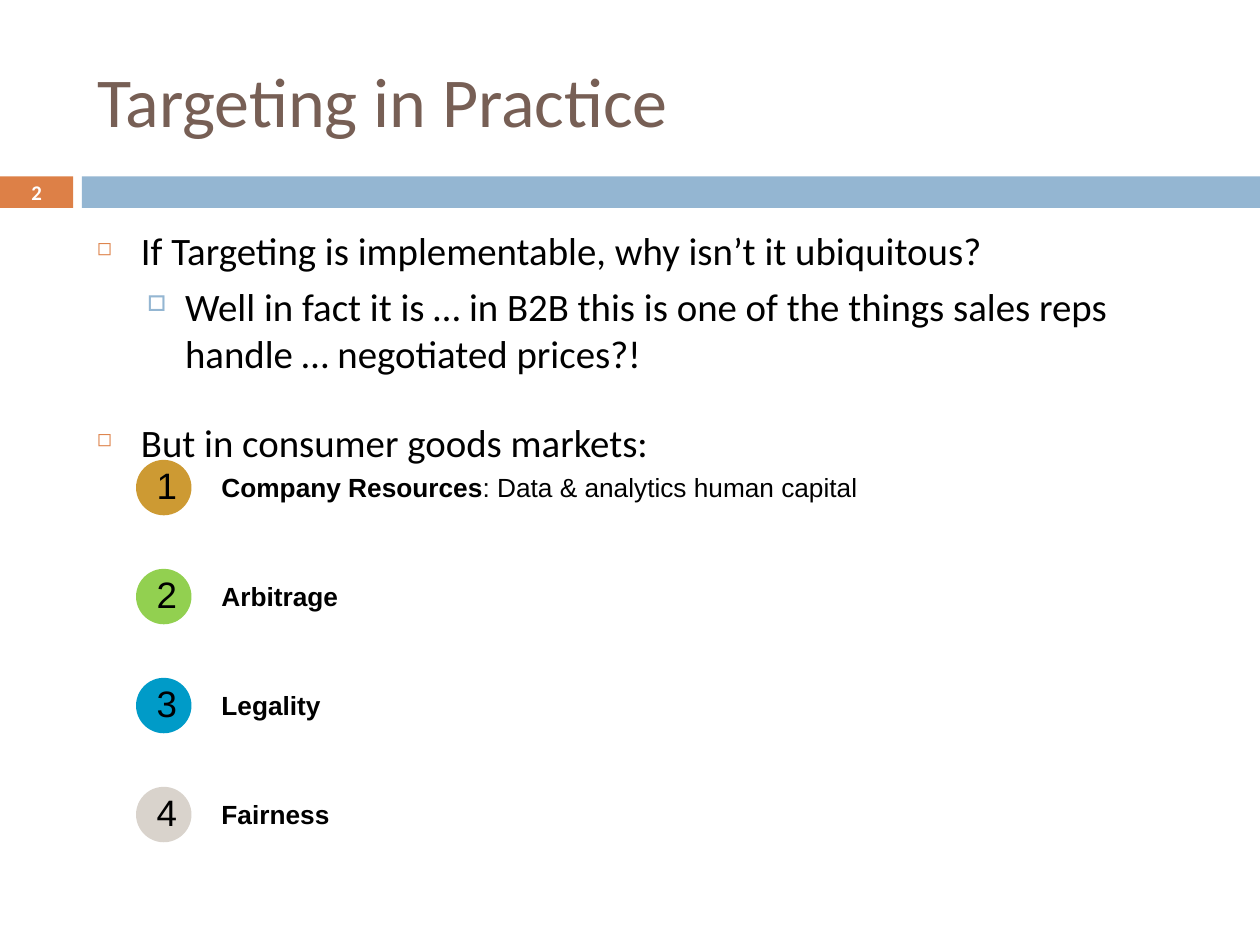
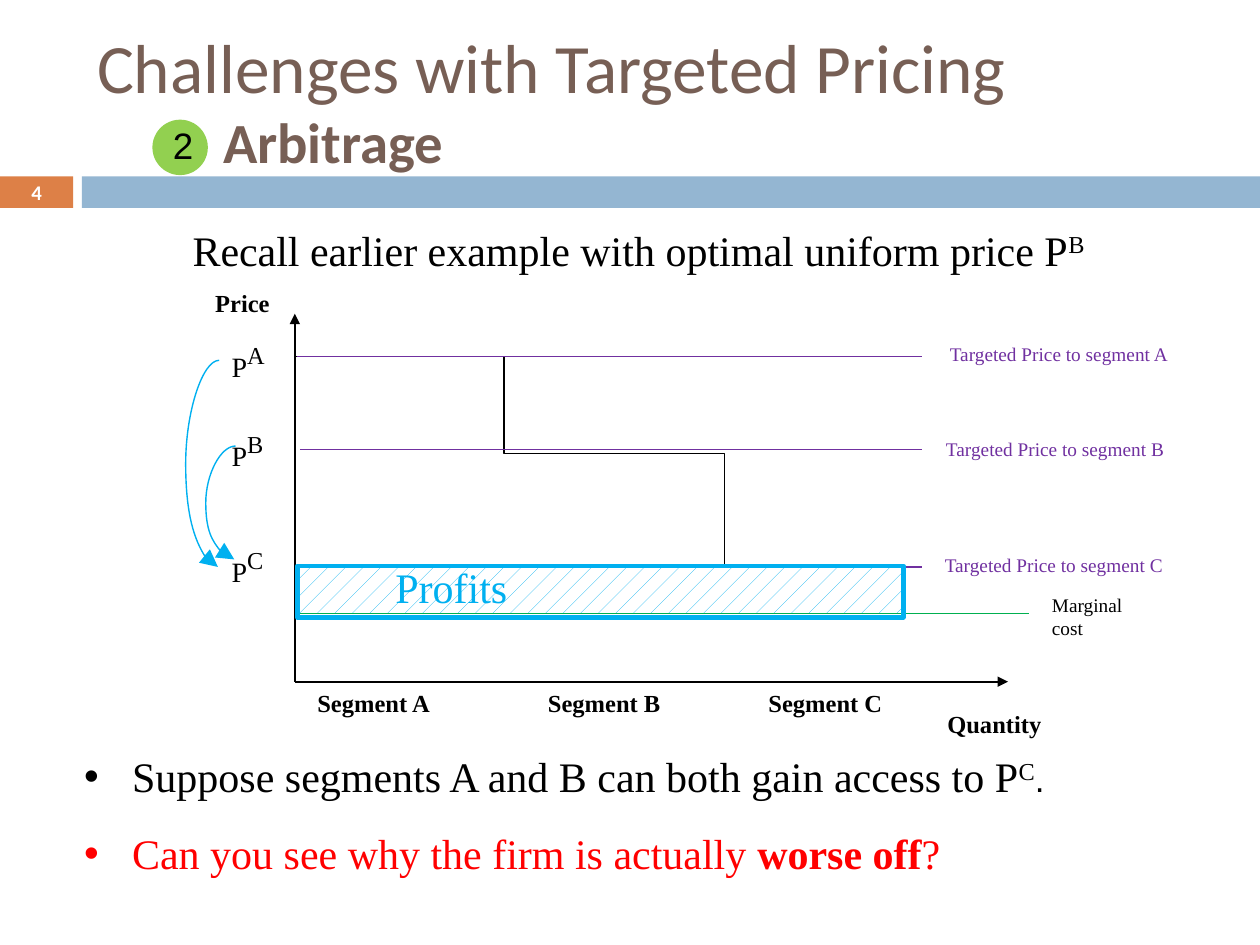
"""Builds two lecture slides on targeted pricing and the arbitrage problem."""
from lxml import etree
from pptx import Presentation
from pptx.dml.color import RGBColor
from pptx.enum.dml import MSO_PATTERN
from pptx.enum.shapes import MSO_CONNECTOR, MSO_SHAPE
from pptx.enum.text import MSO_ANCHOR, MSO_AUTO_SIZE, PP_ALIGN
from pptx.oxml.ns import qn
from pptx.util import Inches, Pt

BLACK = RGBColor(0x00, 0x00, 0x00)
WHITE = RGBColor(0xFF, 0xFF, 0xFF)
BROWN = RGBColor(0x77, 0x5F, 0x55)
ORANGE = RGBColor(0xDD, 0x80, 0x47)
STEEL = RGBColor(0x94, 0xB6, 0xD2)
GOLD = RGBColor(0xCD, 0x9A, 0x33)
LIME = RGBColor(0x92, 0xD0, 0x50)
OCEAN = RGBColor(0x00, 0x9B, 0xC8)
SAND = RGBColor(0xD9, 0xD3, 0xCC)
SKY = RGBColor(0x00, 0xB0, 0xF0)
GREEN = RGBColor(0x00, 0xB0, 0x50)
PURPLE = RGBColor(0x70, 0x30, 0xA0)
RED = RGBColor(0xFF, 0x00, 0x00)

SANS, SERIF, PLAIN = "Calibri", "Times New Roman", "Arial"
RECTANGLE, OVAL = MSO_SHAPE.RECTANGLE, MSO_SHAPE.OVAL
STRAIGHT, CURVE = MSO_CONNECTOR.STRAIGHT, MSO_CONNECTOR.CURVE
MIDDLE, TOP = MSO_ANCHOR.MIDDLE, MSO_ANCHOR.TOP
CENTER, LEFT = PP_ALIGN.CENTER, PP_ALIGN.LEFT
GROW, FIXED = MSO_AUTO_SIZE.SHAPE_TO_FIT_TEXT, MSO_AUTO_SIZE.NONE
DOTS = MSO_PATTERN.PERCENT_5
TITLE_ONLY = 5


def write(para, text, size=24, font=SERIF, color=BLACK, bold=False, raised=False):
    span = para.add_run()
    span.text = text
    span.font.size = Pt(size)
    span.font.name = font
    span.font.bold = bold
    span.font.color.rgb = color
    if raised:
        span.font._element.set("baseline", "30000")


def add_bullet(para, char, left, hanging, color=None, percent=100, font=None):
    props = para._p.get_or_add_pPr()
    props.set("marL", str(Inches(left)))
    props.set("indent", str(-Inches(hanging)))
    if color is not None:
        holder = etree.SubElement(props, qn("a:buClr"))
        etree.SubElement(holder, qn("a:srgbClr"), val=str(color))
    etree.SubElement(props, qn("a:buSzPct"), val=str(percent * 1000))
    if font:
        etree.SubElement(props, qn("a:buFont"), typeface=font)
    etree.SubElement(props, qn("a:buChar"), char=char)


def add_tab(para, position):
    tabs = etree.SubElement(para._p.get_or_add_pPr(), qn("a:tabLst"))
    etree.SubElement(tabs, qn("a:tab"), pos=str(Inches(position)), algn="l")


class Page:
    """Holds the shared style and the current slide."""

    def __init__(self, deck, number):
        self.slide = deck.slides.add_slide(deck.slide_layouts[TITLE_ONLY])
        self.shapes = self.slide.shapes
        self.shape(0, 1.4, 0.58, 0.25, fill=ORANGE)
        self.shape(0.65, 1.4, 9.35, 0.25, fill=STEEL)
        para = self.box(0, 1.39, 0.58, 0.27, anchor=MIDDLE, align=CENTER)
        write(para, number, size=11.9, font=SANS, color=WHITE, bold=True)

    def title(self, text, size=40, subtitle=None):
        holder = self.shapes.title
        holder.left, holder.top = Inches(0.67), Inches(0.25)
        holder.width, holder.height = Inches(8.92), Inches(1.08)
        frame = holder.text_frame
        frame.word_wrap = True
        frame.auto_size = FIXED
        frame.vertical_anchor = MIDDLE
        para = frame.paragraphs[0]
        para.alignment = LEFT
        if subtitle:
            add_tab(para, 1)
        write(para, text, size=size, font=SANS, color=BROWN)
        if subtitle:
            para.add_line_break()
            write(para, "\t" + subtitle, size=32.4, font=SANS, color=BROWN, bold=True)

    def box(self, left, top, width, height, wrap=True, anchor=TOP, align=LEFT,
            fill=None, grow=False):
        box = self.shapes.add_textbox(
            Inches(left), Inches(top), Inches(width), Inches(height))
        if fill is not None:
            box.fill.solid()
            box.fill.fore_color.rgb = fill
        frame = box.text_frame
        frame.word_wrap = wrap
        frame.auto_size = GROW if grow else FIXED
        frame.vertical_anchor = anchor
        para = frame.paragraphs[0]
        para.alignment = align
        return para

    def label(self, text, left, top, width, height=0.33, fill=None, **style):
        para = self.box(left, top, width, height, fill=fill)
        write(para, text, **style)

    def shape(self, left, top, width, height, kind=RECTANGLE, fill=None,
              line=None, weight=1):
        shape = self.shapes.add_shape(
            kind, Inches(left), Inches(top), Inches(width), Inches(height))
        shape.shadow.inherit = False
        if fill is None:
            shape.fill.background()
        else:
            shape.fill.solid()
            shape.fill.fore_color.rgb = fill
        if line is None:
            shape.line.fill.background()
        else:
            shape.line.color.rgb = line
            shape.line.width = Pt(weight)
        return shape

    def badge(self, number, left, top, color):
        frame = self.shape(left, top, 0.44, 0.44, kind=OVAL, fill=color).text_frame
        frame.vertical_anchor = MIDDLE
        para = frame.paragraphs[0]
        para.alignment = LEFT
        para.line_spacing = 0.9
        write(para, number, size=21, font=PLAIN)

    def line(self, start, end, color, weight=0.79, kind=STRAIGHT, head=None):
        line = self.shapes.add_connector(
            kind, *(Inches(value) for value in (*start, *end)))
        line.line.color.rgb = color
        line.line.width = Pt(weight)
        etree.SubElement(line._element.spPr, qn("a:effectLst"))
        if head:
            etree.SubElement(line.line._get_or_add_ln(), qn("a:tailEnd"),
                             type="triangle", w=head, len=head)
        return line

    def curved_arrow(self, x, top, bottom, bulge):
        step = 0.01
        arrow = self.line((x, top), (x - step, bottom), SKY, kind=CURVE, head="lg")
        guides = arrow._element.spPr.find(qn("a:prstGeom")).get_or_add_avLst()
        etree.SubElement(guides, qn("a:gd"), name="adj1",
                         fmla=f"val {round(bulge / step * 100000)}")

    def outline(self, points, color):
        corners = [(Inches(x), Inches(y)) for x, y in points]
        builder = self.shapes.build_freeform(*corners[0])
        builder.add_line_segments(corners[1:], close=False)
        outline = builder.convert_to_shape()
        outline.shadow.inherit = False
        outline.fill.background()
        outline.line.color.rgb = color
        outline.line.width = Pt(1)


def build_practice(deck):
    page = Page(deck, "2")
    page.title("Targeting in Practice")
    bullets = [
        ("If Targeting is implementable, why isn’t it ubiquitous?", 0, 0, 0),
        ("Well in fact it is … in B2B this is one of the things sales reps "
         "handle … negotiated prices?!", 1, 5.5, 12),
        ("But in consumer goods markets:", 0, 12, 0),
    ]
    levels = [("◻", 0.35, 0.35, ORANGE, 48), ("□", 0.7, 0.3, STEEL, 56)]
    para = first = page.box(0.67, 1.75, 8.92, 1.69)
    for index, (text, level, before, after) in enumerate(bullets):
        if index:
            para = first._parent.add_paragraph()
        para.level = level
        add_bullet(para, *levels[level])
        para.space_before, para.space_after = Pt(before), Pt(after)
        write(para, text, size=22.2, font=SANS)

    challenges = [
        ("Company Resources", ": Data & analytics human capital", GOLD),
        ("Arbitrage", "", LIME),
        ("Legality", "", OCEAN),
        ("Fairness", "", SAND),
    ]
    for index, (name, detail, color) in enumerate(challenges):
        top = 3.65 + index * 0.865
        page.badge(str(index + 1), 1.08, top, color)
        para = page.box(1.66, top + 0.04, 5.56, 0.34)
        write(para, name, size=15, font=PLAIN, bold=True)
        if detail:
            write(para, detail, size=15, font=PLAIN)


def build_arbitrage(deck):
    page = Page(deck, "4")
    page.title("Challenges with Targeted Pricing", size=39.6, subtitle="Arbitrage")
    page.badge("2", 1.21, 0.95, LIME)
    para = page.box(1.43, 1.73, 7.4, 0.5)
    write(para, "Recall earlier example with optimal uniform price P")
    write(para, "B", raised=True)

    profit = page.shape(2.34, 4.49, 4.83, 0.38)
    profit.fill.patterned()
    profit.fill.pattern = DOTS
    profit.fill.fore_color.rgb = SKY
    profit.fill.back_color.rgb = WHITE
    page.outline([(2.34, 2.83), (4, 2.83), (4, 3.6), (5.75, 3.6),
                  (5.75, 4.49), (7.17, 4.49)], BLACK)

    origin = (2.34, 5.41)
    page.line(origin, (8, 5.41), BLACK, weight=1, head="med")
    page.line(origin, (2.34, 2.49), BLACK, weight=1, head="med")
    for text, left, top, width in [
        ("Price", 1.61, 2.24, 0.75), ("Quantity", 7.42, 5.58, 1.1),
        ("Segment A", 2.42, 5.41, 1.25), ("Segment B", 4.25, 5.41, 1.25),
        ("Segment C", 6, 5.41, 1.25),
    ]:
        page.label(text, left, top, width, size=14, bold=True)

    page.line((2.34, 4.87), (8.17, 4.87), GREEN)
    para = page.box(8.25, 4.66, 0.9, 0.47)
    write(para, "Marginal", size=11)
    write(para._parent.add_paragraph(), "cost", size=11)

    for segment, price_top, level, start, label_left, label_top in [
        ("A", 2.61, 2.83, 2.36, 7.44, 2.67),
        ("B", 3.32, 3.57, 2.38, 7.41, 3.42),
        ("C", 4.24, 4.5, 2.36, 7.4, 4.34),
    ]:
        para = page.box(1.74, price_top, 0.6, 0.5)
        write(para, "P", size=16)
        write(para, segment, raised=True)
        page.line((start, level), (7.32, level), PURPLE)
        page.label(f"Targeted Price to segment {segment}", label_left, label_top,
                   2.1, 0.29, fill=WHITE if segment == "B" else None,
                   size=11, color=PURPLE)

    page.curved_arrow(1.74, 2.86, 4.5, bulge=0.27)
    page.curved_arrow(1.87, 3.54, 4.44, bulge=0.24)
    page.label("Profits", 3.04, 4.41, 1.2, 0.5, color=SKY)
    page.shape(2.36, 4.49, 4.81, 0.41, line=SKY, weight=2.5)

    access = page.box(0.57, 5.91, 7.99, 0.5)
    question = page.box(0.57, 6.52, 7.99, 0.5)
    for para in (access, question):
        add_bullet(para, "•", 0.38, 0.38, font=PLAIN)
    write(access, "Suppose segments A and B can both gain access to P")
    write(access, "C", raised=True)
    write(access, ".", size=20, font=PLAIN)
    write(question, "Can you see why the firm is actually ", color=RED)
    write(question, "worse off", color=RED, bold=True)
    write(question, "?", color=RED)


def main():
    deck = Presentation()
    deck.slide_width, deck.slide_height = Inches(10), Inches(7.5)
    build_practice(deck)
    build_arbitrage(deck)
    deck.save("out.pptx")


if __name__ == "__main__":
    main()
